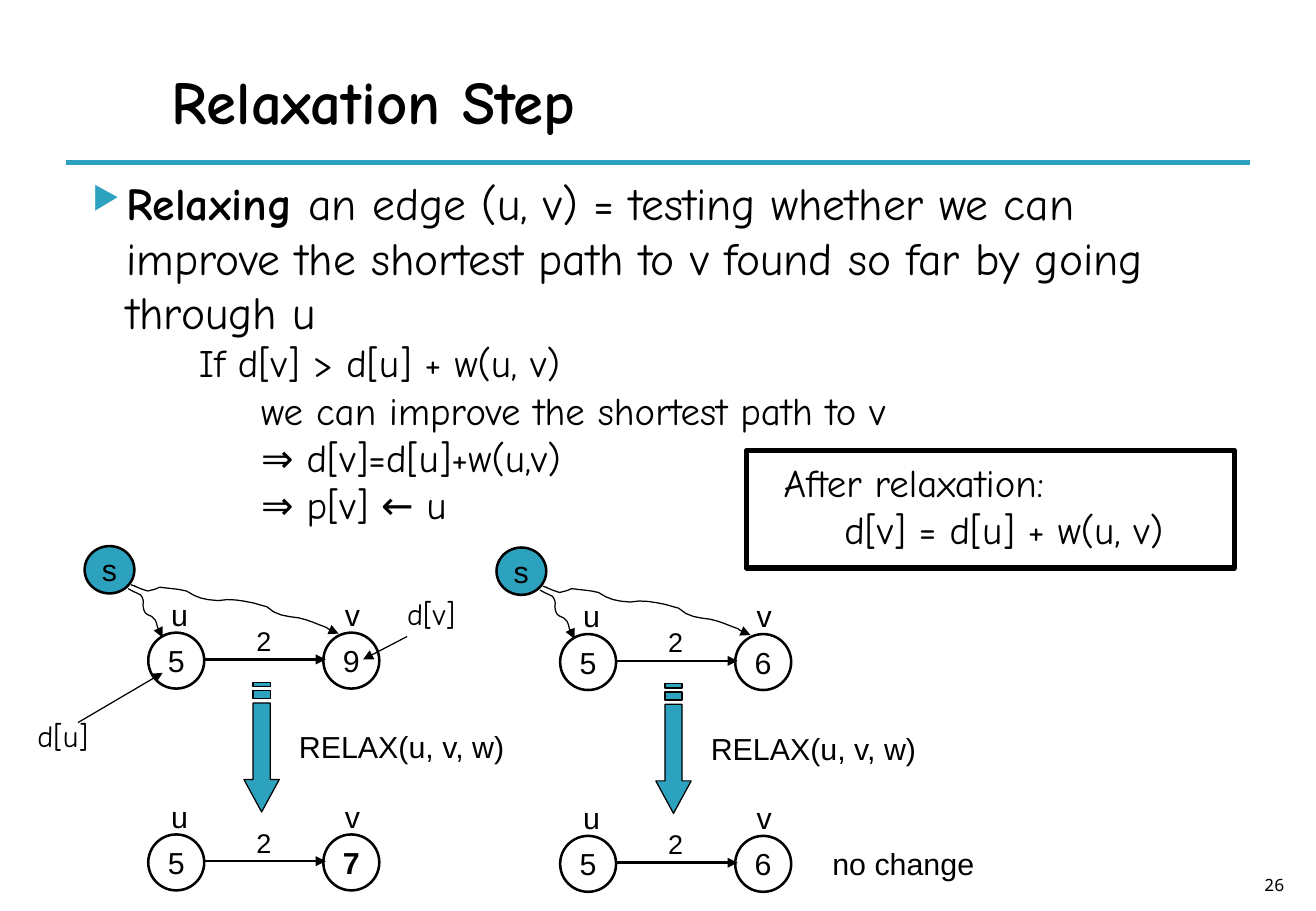
from dataclasses import dataclass

from lxml import etree
from pptx import Presentation
from pptx.dml.color import RGBColor
from pptx.enum.shapes import MSO_CONNECTOR, MSO_SHAPE
from pptx.enum.text import MSO_ANCHOR, MSO_AUTO_SIZE, PP_ALIGN
from pptx.oxml.ns import qn
from pptx.util import Cm, Pt

STRAIGHT = MSO_CONNECTOR.STRAIGHT
OVAL, RECTANGLE = MSO_SHAPE.OVAL, MSO_SHAPE.RECTANGLE
MIDDLE, BOTTOM = MSO_ANCHOR.MIDDLE, MSO_ANCHOR.BOTTOM
LEFT, CENTER, RIGHT = PP_ALIGN.LEFT, PP_ALIGN.CENTER, PP_ALIGN.RIGHT
FIT_SHAPE = MSO_AUTO_SIZE.SHAPE_TO_FIT_TEXT

BLACK = RGBColor(0x00, 0x00, 0x00)
TEAL = RGBColor(0x2D, 0xA2, 0xBF)
COMIC, ARIAL, MONO = "Comic Neue", "Arial", "Noto Sans Mono"

Point = tuple[float, float]

# Cubic curves in cm from the source node's corner: a start, then triples of points
PATH_TO_U: list[Point] = [
    (0.91, 0.89), (0.99, 0.94), (1.07, 0.97), (1.17, 1.02),
    (1.22, 1.09), (1.24, 1.14), (1.22, 1.24), (1.24, 1.4), (1.27, 1.42), (1.4, 1.47),
    (1.55, 1.57), (1.47, 1.65), (1.57, 1.78), (1.6, 1.88), (1.57, 1.83), (1.63, 1.91),
]
PATH_TO_V: list[Point] = [
    (0.97, 0.81), (1.22, 0.89), (0.84, 0.76), (1.17, 0.89),
    (1.22, 0.91), (1.32, 0.94), (1.32, 0.94), (1.52, 0.89), (1.45, 0.91), (1.57, 0.86),
    (1.78, 0.89), (1.93, 0.89), (2.13, 0.94), (2.36, 1.09), (2.49, 1.12), (2.79, 1.14),
    (3.05, 1.09), (3.28, 1.14), (3.53, 1.19), (3.63, 1.22), (3.81, 1.27), (3.81, 1.27),
    (3.99, 1.45), (4.22, 1.47), (4.47, 1.5), (4.7, 1.55), (4.85, 1.63), (5.05, 1.7),
    (5.08, 1.73), (5.18, 1.78), (5.21, 1.8), (5.23, 1.8), (5.31, 1.83), (5.31, 1.83),
]


@dataclass
class Edge:
    """An edge (u, v) placed by the corner of node u, in cm."""
    x: float
    y: float
    v_distance: str
    relaxed: bool = False
    improved: bool = False


@dataclass
class BodyLine:
    runs: list[tuple[str, bool]]
    size: float
    left: float
    space_before: float
    line_spacing: float = 1.0
    bullet: bool = False


EDGES = [
    Edge(3.1, 13.23, "9"),
    Edge(3.1, 17.45, "7", relaxed=True, improved=True),
    Edge(11.71, 13.26, "6"),
    Edge(11.71, 17.48, "6", relaxed=True),
]

BODY = [
    BodyLine([("Relaxing ", True),
              ("an edge (u, v) = testing whether we can improve the shortest "
               "path to v found so far by going through u", False)],
             27, 1.02, 4, bullet=True),
] + [
    BodyLine([(text, False)], 23, left, 3.2, 0.9)
    for text, left in [
        ("If d[v] > d[u] + w(u, v)", 2.54),
        ("we can improve the shortest path to v", 3.84),
        ("⇒ d[v]=d[u]+w(u,v)", 3.84),
        ("⇒ p[v] ← u", 3.84),
    ]
]


def add_run(paragraph, text: str, size: float, font: str, bold: bool = False) -> None:
    run = paragraph.add_run()
    run.text = text
    run.font.size, run.font.name, run.font.bold = Pt(size), font, bold
    run.font.color.rgb = BLACK


def add_box(slide, x: float, y: float, width: float, height: float):
    box = slide.shapes.add_textbox(Cm(x), Cm(y), Cm(width), Cm(height))
    box.text_frame.word_wrap = True
    return box.text_frame


def add_label(slide, text: str, x: float, y: float, width: float,
              height: float = 1.02, size: float = 18, font: str = ARIAL) -> None:
    frame = add_box(slide, x, y, width, height)
    frame.word_wrap, frame.auto_size = False, FIT_SHAPE
    add_run(frame.paragraphs[0], text, size, font)


def set_outline(shape, width: float, color: RGBColor = BLACK, arrow: bool = False) -> None:
    shape.line.color.rgb = color
    shape.line.width = Pt(width)
    if arrow:
        outline = shape.element.spPr.find(qn("a:ln"))
        etree.SubElement(outline, qn("a:tailEnd"), type="triangle")


def add_line(slide, start: Point, end: Point, width: float,
             color: RGBColor = BLACK, arrow: bool = True) -> None:
    line = slide.shapes.add_connector(STRAIGHT, *map(Cm, start + end))
    set_outline(line, width, color, arrow)
    etree.SubElement(line.element.spPr, qn("a:effectLst"))


def add_node(slide, text: str, x: float, y: float, width: float = 1.17,
             height: float = 1.17, filled: bool = False, bold: bool = False) -> None:
    node = slide.shapes.add_shape(OVAL, Cm(x), Cm(y), Cm(width), Cm(height))
    node.shadow.inherit = False
    if filled:
        node.fill.solid()
        node.fill.fore_color.rgb = TEAL
    else:
        node.fill.background()
    set_outline(node, 1.5)
    frame = node.text_frame
    frame.word_wrap, frame.vertical_anchor = False, MIDDLE
    frame.paragraphs[0].alignment = CENTER
    add_run(frame.paragraphs[0], text, 18, ARIAL, bold)


def add_outline(slide, contours: list[list[Point]], close: bool):
    """Draw straight-sided contours, given in cm, as one freeform."""
    emu = [[(Cm(x), Cm(y)) for x, y in contour] for contour in contours]
    builder = slide.shapes.build_freeform(*emu[0][0])
    for index, (first, *others) in enumerate(emu):
        if index:
            builder.move_to(*first)
        builder.add_line_segments(others, close=close)
    outline = builder.convert_to_shape()
    outline.shadow.inherit = False
    return outline


def add_wavy_path(slide, curve: list[Point], x: float, y: float, steps: int = 4) -> None:
    points = [curve[0]]
    for i in range(0, len(curve) - 1, 3):
        for step in range(1, steps + 1):
            t = step / steps
            weights = ((1 - t) ** 3, 3 * t * (1 - t) ** 2, 3 * t * t * (1 - t), t ** 3)
            points.append(tuple(sum(w * p[axis] for w, p in zip(weights, curve[i:i + 4]))
                                for axis in (0, 1)))
    wave = add_outline(slide, [[(x + px, y + py) for px, py in points]], close=False)
    wave.fill.background()
    set_outline(wave, 0.75, arrow=True)


def add_striped_arrow(slide, x: float, top: float) -> None:
    """Draw a downward arrow with two stripes, centred on x."""
    shaft, head = 0.18, 0.37
    stripes = [[(x - shaft, top + a), (x + shaft, top + a),
                (x + shaft, top + b), (x - shaft, top + b)]
               for a, b in ((0, 0.09), (0.17, 0.34))]
    neck, tip = top + 2.03, top + 2.71
    body = [(x + head, neck), (x + shaft, neck), (x + shaft, top + 0.43),
            (x - shaft, top + 0.43), (x - shaft, neck), (x - head, neck), (x, tip)]
    arrow = add_outline(slide, [body, *stripes], close=True)
    arrow.fill.solid()
    arrow.fill.fore_color.rgb = TEAL
    set_outline(arrow, 0.75)


def add_edge(slide, edge: Edge) -> None:
    x, y = edge.x, edge.y
    add_node(slide, "5", x, y)
    add_node(slide, edge.v_distance, x + 3.66, y, bold=edge.improved)
    add_line(slide, (x + 1.14, y + 0.56), (x + 3.71, y + 0.56), 1.5)
    add_label(slide, "2", x + 2.01, y - 0.3, 0.81, 0.94, 16)
    add_label(slide, "u", x + 0.23, y - 0.89, 0.86)
    add_label(slide, "v", x + 3.86, y - 0.89, 0.84)
    if edge.relaxed:
        add_striped_arrow(slide, x + 2.37, y - 3.18)
        add_label(slide, "RELAX(u, v, w)", x + 2.9, y - 2.34, 4.85)
    else:
        source_x, source_y = x - 1.33, y - 1.81
        add_node(slide, "s", source_x, source_y, 1.04, 0.99, filled=True)
        for curve in (PATH_TO_U, PATH_TO_V):
            add_wavy_path(slide, curve, source_x, source_y)


def add_body(slide) -> None:
    frame = add_box(slide, 1.37, 3.53, 24.77, 12.57)
    for index, line in enumerate(BODY):
        paragraph = frame.add_paragraph() if index else frame.paragraphs[0]
        paragraph.space_before = Pt(line.space_before)
        paragraph.line_spacing = line.line_spacing
        properties = paragraph._p.get_or_add_pPr()
        properties.set("marL", str(Cm(line.left)))
        if line.bullet:
            properties.set("indent", str(Cm(-0.71)))
            color = etree.SubElement(properties, qn("a:buClr"))
            etree.SubElement(color, qn("a:srgbClr"), val=str(TEAL))
            etree.SubElement(properties, qn("a:buSzPct"), val="68000")
            etree.SubElement(properties, qn("a:buChar"), char="▶")
        for text, bold in line.runs:
            add_run(paragraph, text, line.size, COMIC, bold)


def add_title(slide) -> None:
    title = slide.shapes.title
    title.left, title.top, title.width, title.height = map(Cm, (3.33, 0.76, 22.83, 2.67))
    title.text_frame.vertical_anchor = MIDDLE
    heading = title.text_frame.paragraphs[0]
    heading.alignment = LEFT
    add_run(heading, "Relaxation Step", 36, COMIC, bold=True)


def add_result(slide) -> None:
    frame = add_box(slide, 16.13, 9.47, 9.42, 2.31)
    add_run(frame.paragraphs[0], "After relaxation:", 23, COMIC)
    equation = frame.add_paragraph()
    equation._p.get_or_add_pPr().set("marL", str(Cm(1.27)))
    add_run(equation, "d[v] = d[u] + w(u, v)", 23, COMIC)
    border = slide.shapes.add_shape(RECTANGLE, Cm(15.6), Cm(9.42), Cm(10.21), Cm(2.46))
    border.shadow.inherit = False
    border.fill.background()
    set_outline(border, 3)


def main() -> None:
    deck = Presentation()
    deck.slide_width, deck.slide_height = Cm(27.51), Cm(19.05)
    slide = deck.slides.add_slide(deck.slide_layouts[5])
    add_line(slide, (1.37, 3.4), (26.14, 3.4), 2.75, TEAL, arrow=False)
    add_title(slide)
    add_body(slide)
    page = add_box(slide, 26.01, 17.81, 1.09, 1.02)
    page.vertical_anchor = BOTTOM
    page.paragraphs[0].alignment = RIGHT
    add_run(page.paragraphs[0], "26", 10, MONO)
    for edge in EDGES:
        add_edge(slide, edge)
    add_label(slide, "no change", 17.15, 17.55, 3.48)
    add_result(slide)
    add_line(slide, (1.63, 15.11), (3.4, 14.07), 0.75)
    add_line(slide, (8.51, 13.31), (7.59, 13.79), 0.75)
    add_label(slide, "d[u]", 0.53, 14.88, 1.9, font=COMIC)
    add_label(slide, "d[v]", 8.26, 12.32, 1.68, font=COMIC)
    deck.save("out.pptx")


if __name__ == "__main__":
    main()
